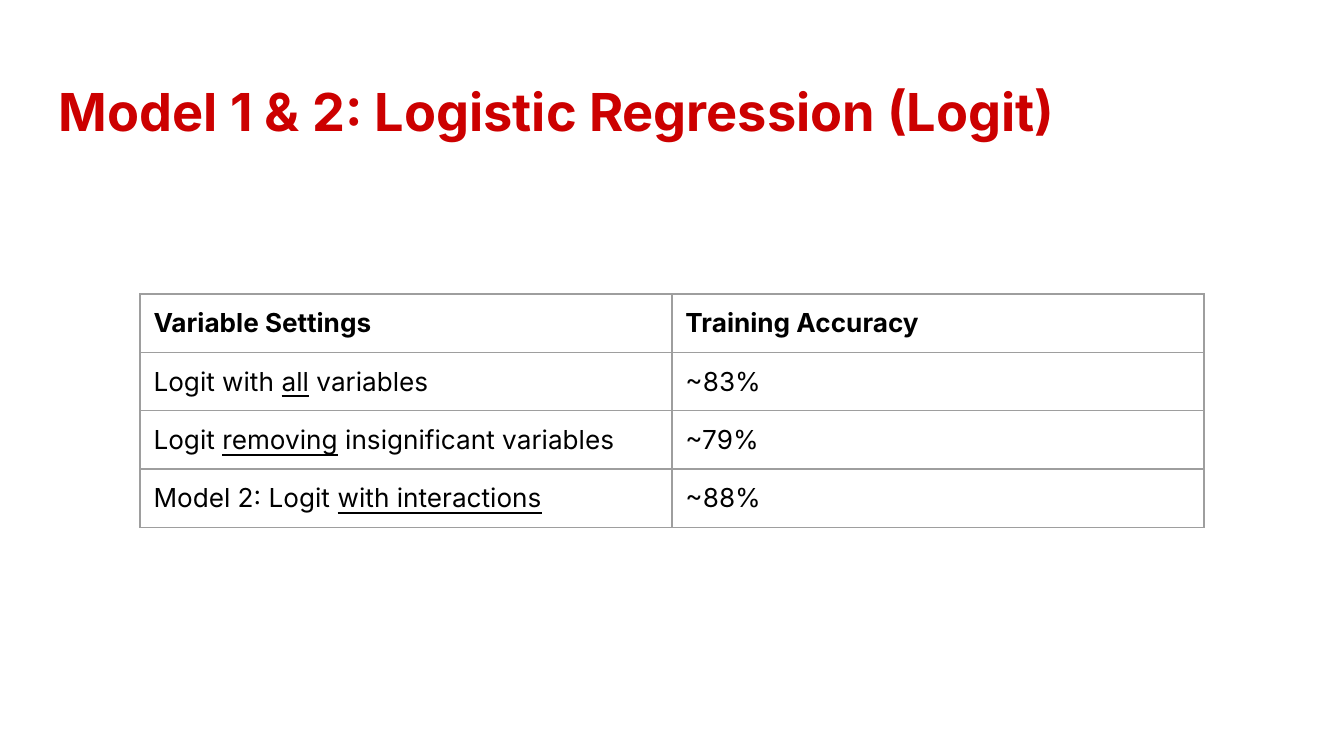
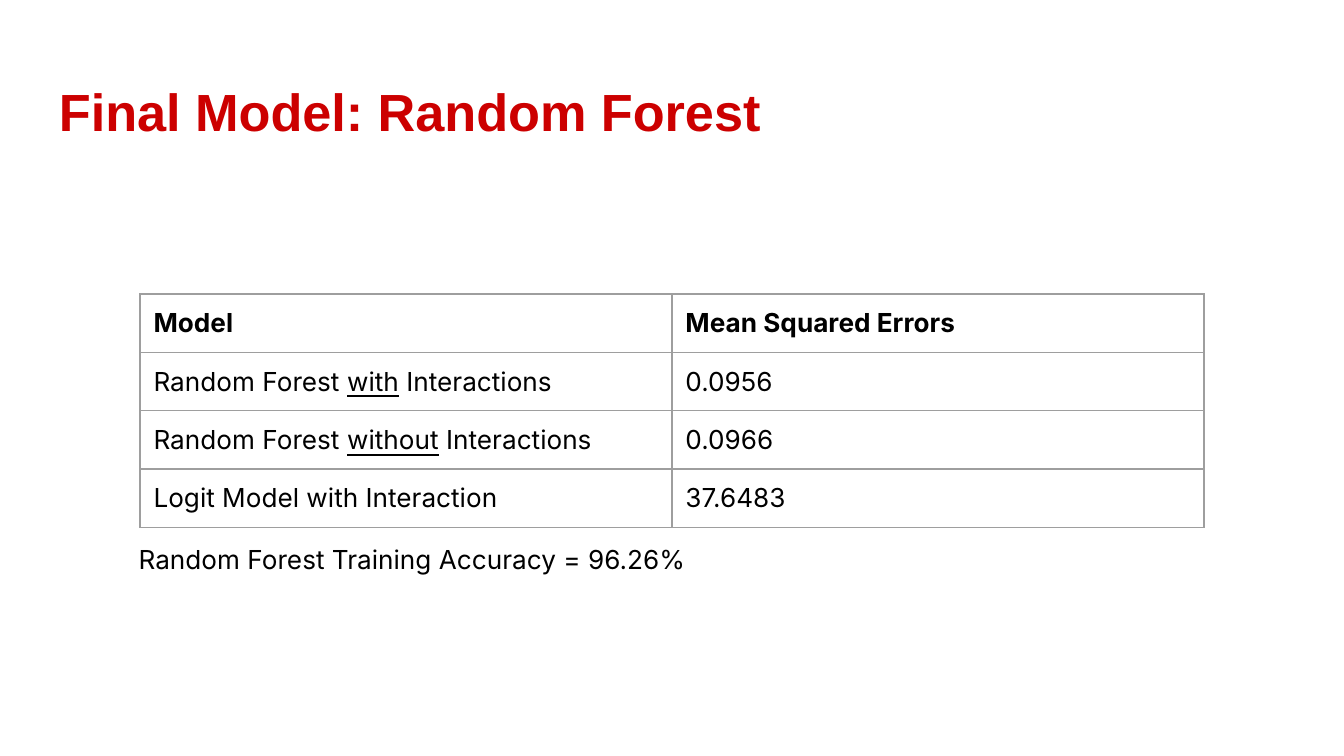
from dataclasses import dataclass
from typing import Any

from lxml.etree import SubElement
from pptx import Presentation
from pptx.dml.color import RGBColor
from pptx.enum.text import MSO_ANCHOR, PP_ALIGN
from pptx.oxml.ns import qn
from pptx.util import Inches, Pt

SLIDE_WIDTH = Inches(10)
SLIDE_HEIGHT = SLIDE_WIDTH * 9 // 16
INSET = Inches(0.1)
RED, BLACK, GREY = "CC0000", "000000", "9E9E9E"
BORDER_WIDTH = Pt(0.75)
UNDERLINE_MARK = "_"


@dataclass(frozen=True)
class PercentBox:
    left: float
    top: float
    width: float
    height: float

    def place(self) -> tuple[int, int, int, int]:
        return (
            round(SLIDE_WIDTH * self.left / 100),
            round(SLIDE_HEIGHT * self.top / 100),
            round(SLIDE_WIDTH * self.width / 100),
            round(SLIDE_HEIGHT * self.height / 100),
        )


@dataclass(frozen=True)
class TextStyle:
    size: float
    font: str = "Inter"
    color: str = BLACK
    bold: bool = False


@dataclass(frozen=True)
class ModelSlide:
    title: str
    title_font: str
    results: tuple[tuple[str, str], ...]
    note: str = ""


TITLE_BOX = PercentBox(3.41, 8.65, 93.18, 11.13)
RESULTS_BOX = PercentBox(10.42, 38.89, 79.17, 29.63)
NOTE_BOX = PercentBox(9.33, 70.1, 53.6, 11)
HEADER = TextStyle(14, bold=True)
BODY = TextStyle(14)

MODEL_SLIDES = (
    ModelSlide(
        "Model 1 & 2: Logistic Regression (Logit)",
        "Inter",
        (
            ("Variable Settings", "Training Accuracy"),
            ("Logit with _all_ variables", "~83%"),
            ("Logit _removing_ insignificant variables", "~79%"),
            ("Model 2: Logit _with interactions_", "~88%"),
        ),
    ),
    ModelSlide(
        "Final Model: Random Forest",
        "Arial",
        (
            ("Model", "Mean Squared Errors"),
            ("Random Forest _with_ Interactions", "0.0956"),
            ("Random Forest _without_ Interactions", "0.0966"),
            ("Logit Model with Interaction", "37.6483"),
        ),
        "Random Forest Training Accuracy = 96.26%",
    ),
)


def rgb(value: str) -> RGBColor:
    return RGBColor.from_string(value)


def apply(target: Any, values: dict[str, Any]) -> None:
    for attribute, value in values.items():
        setattr(target, attribute, value)


def write(frame: Any, text: str, style: TextStyle) -> None:
    paragraph = frame.paragraphs[0]
    paragraph.alignment = PP_ALIGN.LEFT
    for index, part in enumerate(text.split(UNDERLINE_MARK)):
        if not part:
            continue
        run = paragraph.add_run()
        run.text = part
        apply(run.font, {
            "name": style.font,
            "size": Pt(style.size),
            "bold": style.bold,
            "underline": index % 2 == 1,
        })
        run.font.color.rgb = rgb(style.color)


def inset(target: Any) -> None:
    sides = ("left", "top", "right", "bottom")
    apply(target, {f"margin_{side}": INSET for side in sides})
    target.vertical_anchor = MSO_ANCHOR.TOP


def add_text(slide: Any, box: PercentBox, text: str, style: TextStyle) -> None:
    frame = slide.shapes.add_textbox(*box.place()).text_frame
    frame.word_wrap = True
    inset(frame)
    write(frame, text, style)


def add_borders(cell: Any) -> None:
    properties = cell._tc.get_or_add_tcPr()
    for position, side in enumerate(("lnL", "lnR", "lnT", "lnB")):
        line = properties.makeelement(qn(f"a:{side}"), {"w": str(int(BORDER_WIDTH))})
        properties.insert(position, line)
        fill = SubElement(line, qn("a:solidFill"))
        SubElement(fill, qn("a:srgbClr"), {"val": GREY})
        SubElement(line, qn("a:prstDash"), {"val": "solid"})


def add_results(slide: Any, results: tuple[tuple[str, str], ...]) -> None:
    table = slide.shapes.add_table(
        len(results), len(results[0]), *RESULTS_BOX.place()
    ).table
    apply(table, {"first_row": False, "horz_banding": False})
    for row, values in enumerate(results):
        for column, value in enumerate(values):
            cell = table.cell(row, column)
            inset(cell)
            cell.fill.background()
            add_borders(cell)
            write(cell.text_frame, value, BODY if row else HEADER)


def add_model_slide(deck: Any, content: ModelSlide) -> None:
    slide = deck.slides.add_slide(deck.slide_layouts[6])
    title_style = TextStyle(28, content.title_font, RED, True)
    add_text(slide, TITLE_BOX, content.title, title_style)
    add_results(slide, content.results)
    if content.note:
        add_text(slide, NOTE_BOX, content.note, BODY)


def main() -> None:
    deck = Presentation()
    apply(deck, {"slide_width": SLIDE_WIDTH, "slide_height": SLIDE_HEIGHT})
    for content in MODEL_SLIDES:
        add_model_slide(deck, content)
    deck.save("out.pptx")


if __name__ == "__main__":
    main()
